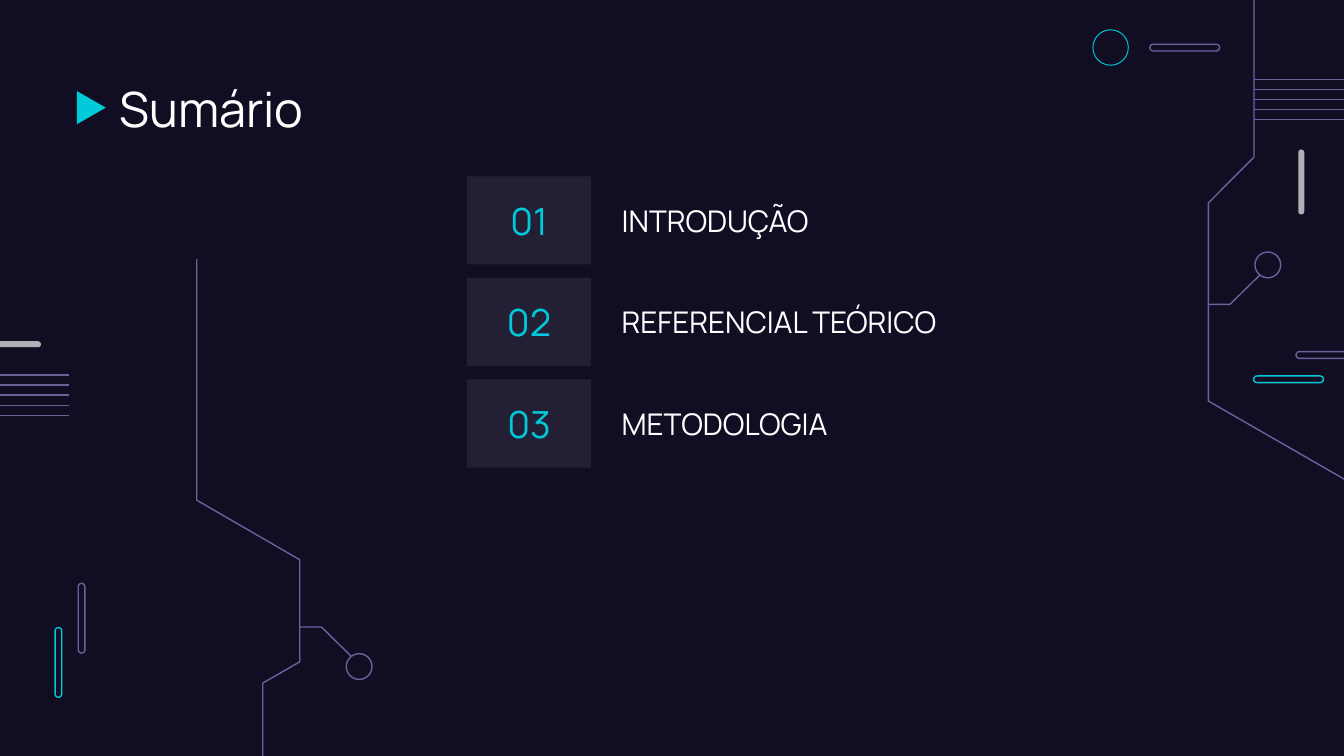
from pptx import Presentation
from pptx.dml.color import RGBColor
from pptx.enum.shapes import MSO_CONNECTOR, MSO_SHAPE as SHP
from pptx.enum.text import MSO_ANCHOR as ANC, PP_ALIGN as AL
from pptx.oxml.ns import qn
from pptx.util import Pt
from lxml import etree

NAVY = RGBColor(0x11, 0x0E, 0x24)
CYAN = RGBColor(0x00, 0xCA, 0xDA)
PURPLE = RGBColor(0x69, 0x63, 0x9C)
GRAY = RGBColor(0xAF, 0xAF, 0xB6)
WHITE = RGBColor(0xFF, 0xFF, 0xFF)


def paint(s, fill=None, line=None, width=0.75):
    s.shadow.inherit = False
    if fill is None:
        s.fill.background()
    else:
        s.fill.solid()
        s.fill.fore_color.rgb = fill
    if line is None:
        s.line.fill.background()
    else:
        s.line.color.rgb = line
        s.line.width = Pt(width)


def write(s, text, size, color, anchor=ANC.MIDDLE, align=AL.LEFT):
    tf = s.text_frame
    frame = {"word_wrap": True, "vertical_anchor": anchor}
    frame.update({f"margin_{side}": Pt(7.2) for side in ("left", "right", "top", "bottom")})
    for name, value in frame.items():
        setattr(tf, name, value)
    p = tf.paragraphs[0]
    p.alignment = align
    r = p.add_run()
    r.text = text
    for name, value in {"name": "Manrope", "size": Pt(size), "bold": False}.items():
        setattr(r.font, name, value)
    r.font.color.rgb = color


prs = Presentation()
prs.slide_width, prs.slide_height = Pt(720), Pt(405)
slide = prs.slides.add_slide(prs.slide_layouts[6])
slide.background.fill.solid()
slide.background.fill.fore_color.rgb = NAVY
shapes = slide.shapes

pills = [
    (29.5, 336.2, 3.6, 37.4, None, CYAN),
    (41.9, 312.5, 3.6, 37.4, None, PURPLE),
    (671.6, 201.4, 37.4, 3.6, None, CYAN),
    (694.3, 188.4, 37.4, 3.6, None, PURPLE),
    (616, 23.7, 37.4, 3.6, None, PURPLE),
    (695.5, 80.1, 3.2, 34.8, GRAY, None),
    (-12.8, 182.8, 34.8, 3.2, GRAY, None),
]
for x, y, w, h, fill, line in pills:
    s = shapes.add_shape(SHP.ROUNDED_RECTANGLE, Pt(x), Pt(y), Pt(w), Pt(h))
    s.adjustments[0] = 0.5
    paint(s, fill, line)

rings = [
    (585.5, 16, 19, CYAN, 0.5),
    (672.3, 135, 13.8, PURPLE, 0.75),
    (185.5, 350.2, 13.8, PURPLE, 0.75),
]
for x, y, d, color, width in rings:
    s = shapes.add_shape(SHP.OVAL, Pt(x), Pt(y), Pt(d), Pt(d))
    paint(s, None, color, width)

traces = [
    [(674.8, 147.5), (658.9, 163.1), (647.4, 163.1)],
    [(728.3, 261.4), (647.4, 214.9), (647.4, 108.7), (671.8, 84.2), (671.8, -4.3)],
    [(188, 351.5), (172.2, 335.9), (160.6, 335.9)],
    [(105.4, 138.8), (105.4, 268), (160.6, 299.9), (160.6, 354.6), (140.8, 366), (140.8, 411.1)],
]
for trace in traces:
    points = [(Pt(x), Pt(y)) for x, y in trace]
    builder = shapes.build_freeform(*points[0])
    builder.add_line_segments(points[1:], close=False)
    paint(builder.convert_to_shape(), None, PURPLE)

for x1, x2, top in [(671.8, 777.6, 42.5), (37.1, -43.9, 200.9)]:
    for i in range(5):
        y = Pt(top + 5.4 * i)
        s = shapes.add_connector(MSO_CONNECTOR.STRAIGHT, Pt(x1), y, Pt(x2), y)
        s.line.color.rgb = PURPLE
        s.line.width = Pt(0.75)
        etree.SubElement(s._element.spPr, qn("a:effectLst"))

s = shapes.add_shape(SHP.FLOWCHART_MERGE, Pt(40), Pt(49.9), Pt(17.8), Pt(15.5))
s.rotation = 270
paint(s, CYAN)

s = shapes.add_textbox(Pt(56.9), Pt(35.3), Pt(607), Pt(45.4))
write(s, "Sumário", 26, WHITE, ANC.TOP)

for i, topic in enumerate(["INTRODUÇÃO", "REFERENCIAL TEÓRICO", "METODOLOGIA"]):
    y = Pt(94.5 + 54.4 * i)
    s = shapes.add_shape(SHP.RECTANGLE, Pt(250.1), y, Pt(66.6), Pt(47.2))
    paint(s, WHITE)
    color = s._element.spPr.find(qn("a:solidFill"))[0]
    etree.SubElement(color, qn("a:alpha"), val="8000")
    write(s, f"{i + 1:02d}", 20, CYAN, align=AL.CENTER)
    s = shapes.add_textbox(Pt(326), y, Pt(247), Pt(47.2))
    write(s, topic, 16, WHITE)

prs.save("out.pptx")
